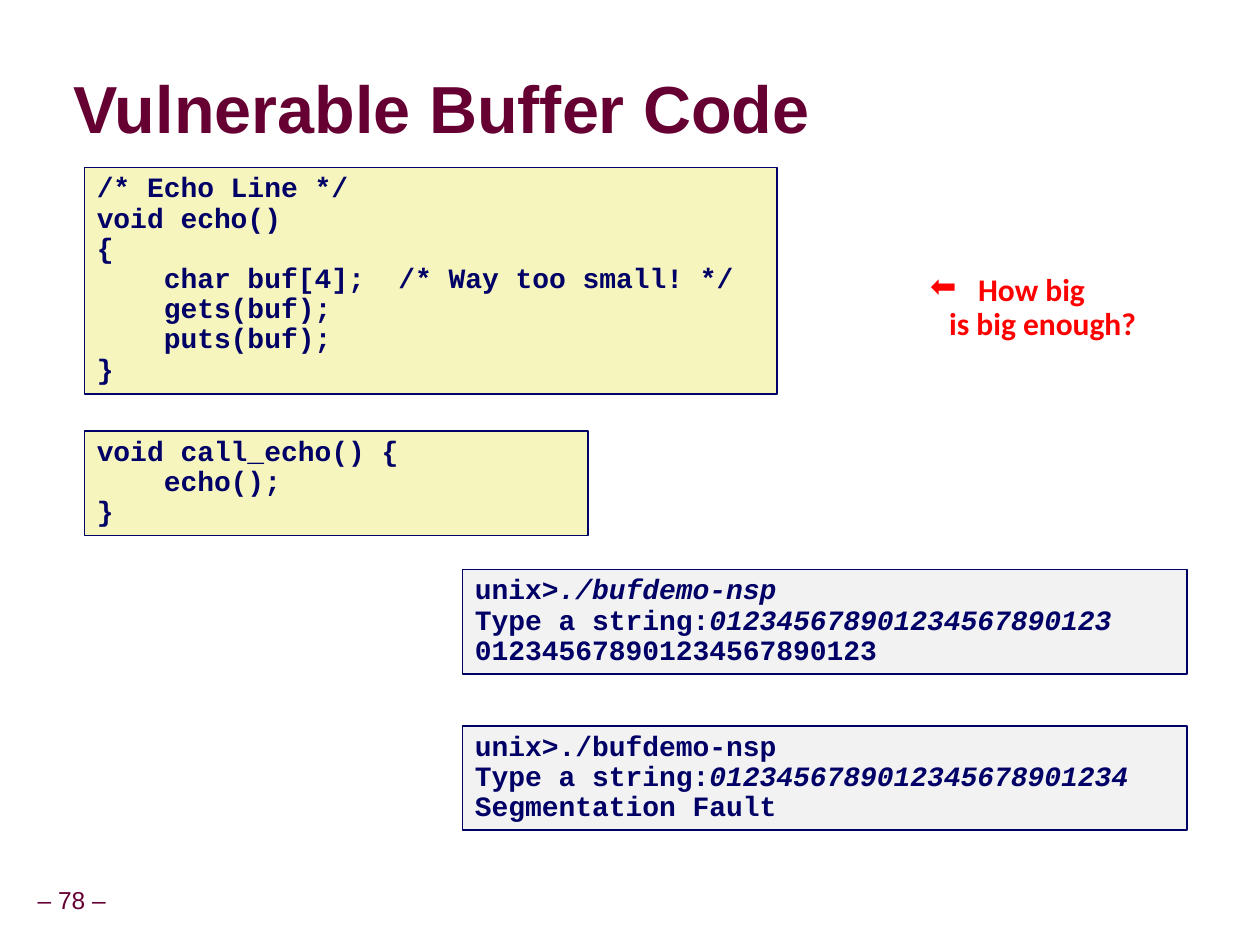
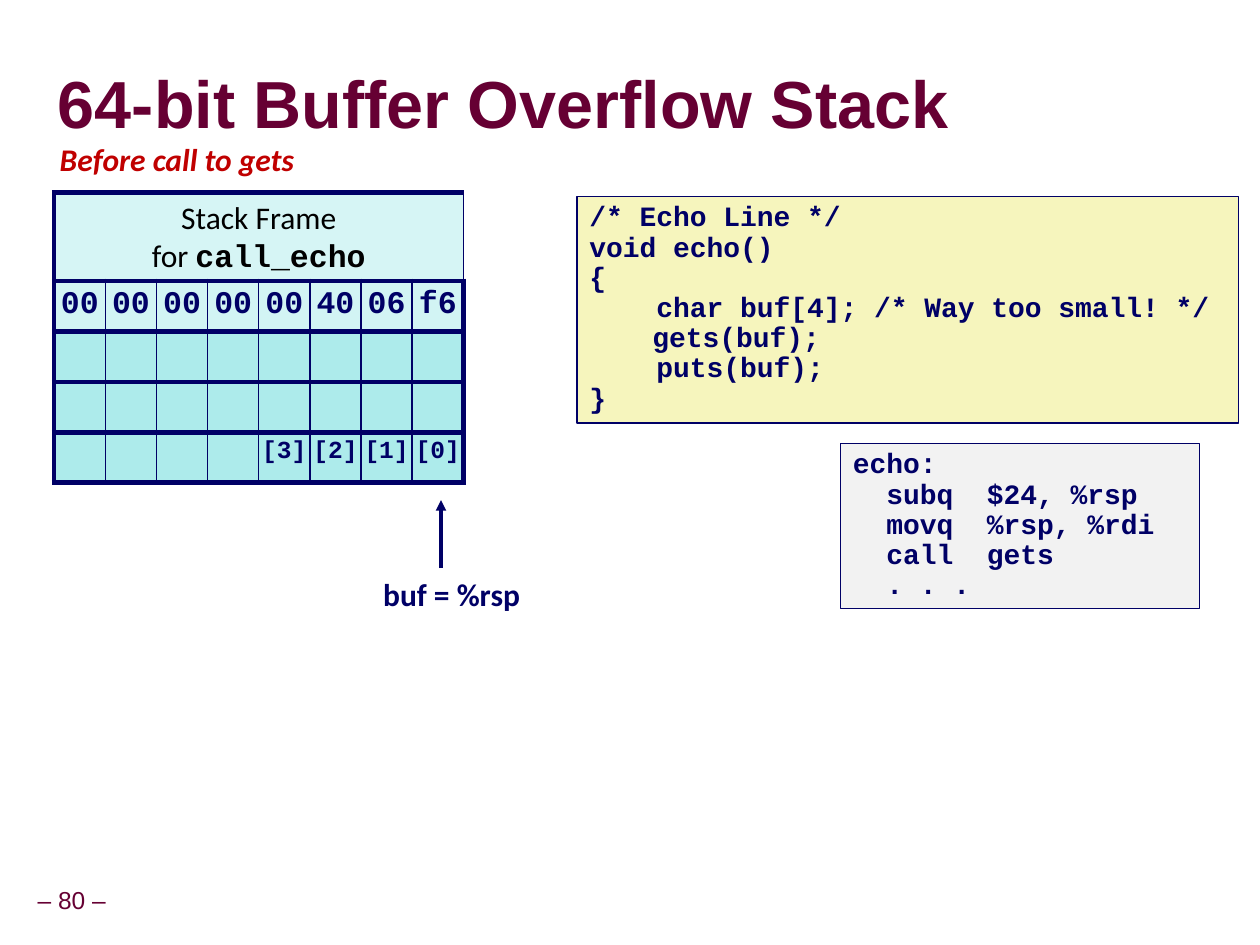
"""Build two slides on a vulnerable buffer and its stack frame."""
from lxml import etree
from pptx import Presentation
from pptx import util as u
from pptx.dml.color import RGBColor
from pptx.enum import shapes, text
from pptx.oxml.ns import qn

NAVY, PLUM, RED, CRIMSON = "000066", "660033", "FF0000", "C00000"
CREAM, GREY = "F6F5BD", "F2F2F2"
HEADER_FILL, RETURN_FILL, FRAME_FILL = "D6F5F5", "D2F4F4", "ADEBEB"

TITLE = dict(name="Arial", size=38, bold=True, color=PLUM)
NUMBER = dict(name="Arial", size=14, color=PLUM)
CODE = dict(name="Courier New", size=16, bold=True, color=NAVY)
LABEL = dict(name="Calibri", size=18, bold=True, color=NAVY)
FRAME = dict(name="Calibri", size=18, color="000000")

ECHO_HEAD = ["/* Echo Line */", "void echo()", "{"]
ECHO_TAIL = ["    puts(buf);", "}"]
SLIDES = [
    dict(
        title="Vulnerable Buffer Code", title_at=(0.58, 0.58, 7.01, 0.63), number=78,
        code=[
            ((0.67, 3.42, 4, 0.83), CREAM, 1.62,
             ["void call_echo() {", "    echo();", "}"]),
            ((0.67, 1.33, 5.5, 1.8), CREAM, 1.62,
             ECHO_HEAD + ["    char buf[4];  /* Way too small! */", "    gets(buf);"] + ECHO_TAIL),
            ((3.67, 4.52, 5.75, 0.83), GREY, 1.62,
             ["unix>|./bufdemo-nsp", "Type a string:|012345678901234567890123",
              "012345678901234567890123"]),
            ((3.67, 5.76, 5.75, 0.83), GREY, 1.62,
             ["unix>./bufdemo-nsp", "Type a string:|0123456789012345678901234",
              "Segmentation Fault"]),
        ],
        labels=[((6.42, 2.13, 3.21, 0.91), ["How big ", "\tis big enough?"],
                 LABEL | dict(color=RED), "⬅")],
    ),
    dict(
        title="64-bit Buffer Overflow Stack", title_at=(0.46, 0.54, 7.1, 0.63), number=80,
        code=[
            ((6.67, 3.52, 2.85, 1.31), GREY, 3.44,
             ["echo:", "  subq  $24, %rsp", "  movq  %rsp, %rdi", "  call  gets", "  . . ."]),
            ((4.58, 1.56, 5.25, 1.8), CREAM, 1.62,
             ECHO_HEAD + ["    char buf[4]; /* Way too small! */", "\tgets(buf);"] + ECHO_TAIL),
        ],
        labels=[((0.36, 1.1, 2.09, 0.4), ["Before call to gets"],
                 LABEL | dict(color=CRIMSON, italic=True), None),
                ((2.92, 4.55, 1.33, 0.4), ["buf = %rsp "], LABEL, None)],
        stack=dict(
            at=(0.43, 1.53, 3.25, 2.3), header=("Stack Frame", "for ", "call_echo"),
            rows=["00 00 00 00 00 40 06 f6".split(), [""] * 8, [""] * 8,
                  [""] * 4 + ["[3]", "[2]", "[1]", "[0]"]],
            header_height=0.7, row_height=0.4),
        pointer=(3.5, 4.51, 3.5, 3.97),
    ),
]


def rgb(value):
    return RGBColor.from_string(value)


def inches(values):
    return [u.Inches(value) for value in values]


def sub(parent, tag, **attributes):
    return etree.SubElement(parent, qn(tag), {k: str(v) for k, v in attributes.items()})


def add_run(paragraph, words, style):
    run = paragraph.add_run()
    run.text = words
    for key, value in style.items():
        if key == "color":
            run.font.color.rgb = rgb(value)
        else:
            setattr(run.font, key, u.Pt(value) if key == "size" else value)
    return run


def set_frame(frame, **values):
    for key, value in values.items():
        setattr(frame, key, value)


def margins(x, y):
    return dict(margin_left=u.Inches(x), margin_right=u.Inches(x),
                margin_top=u.Inches(y), margin_bottom=u.Inches(y))


def add_lines(frame, lines, style, align, spacing=0.9):
    for index, line in enumerate(lines):
        paragraph = frame.paragraphs[0] if index == 0 else frame.add_paragraph()
        paragraph.alignment, paragraph.line_spacing = align, spacing
        plain, _, slanted = line.partition("|")
        add_run(paragraph, plain, style)
        if slanted:
            add_run(paragraph, slanted, style | dict(italic=True))


def add_title(slide, words, at):
    title = slide.shapes.title
    title.left, title.top, title.width, title.height = inches(at)
    set_frame(title.text_frame, word_wrap=True, auto_size=text.MSO_AUTO_SIZE.NONE,
              vertical_anchor=text.MSO_ANCHOR.MIDDLE, **margins(0, 0))
    add_lines(title.text_frame, [words], TITLE, text.PP_ALIGN.LEFT, 0.87)
    properties = title.text_frame.paragraphs[0].runs[0].font._element
    effects = etree.Element(qn("a:effectLst"))
    shadow = sub(effects, "a:outerShdw", blurRad=38100, dist=38100, dir=2700000, algn="tl")
    sub(sub(shadow, "a:srgbClr", val="000000"), "a:alpha", val=43000)
    properties.find(qn("a:solidFill")).addnext(effects)


def add_label(slide, at, lines, style, bullet=None, **frame_values):
    frame = slide.shapes.add_textbox(*inches(at)).text_frame
    set_frame(frame, word_wrap=False, auto_size=text.MSO_AUTO_SIZE.SHAPE_TO_FIT_TEXT,
              **frame_values)
    add_lines(frame, lines, style, text.PP_ALIGN.CENTER)
    if bullet:
        properties = frame.paragraphs[0]._p.get_or_add_pPr()
        properties.set("marL", str(u.Inches(0.38)))
        properties.set("indent", str(-u.Inches(0.38)))
        sub(properties, "a:buChar", char=bullet)


def add_code(slide, at, fill, second_tab, lines):
    box = slide.shapes.add_shape(shapes.MSO_SHAPE.RECTANGLE, *inches(at))
    box.shadow.inherit = False
    box.fill.solid()
    box.fill.fore_color.rgb = rgb(fill)
    box.line.color.rgb, box.line.width = rgb(NAVY), u.Pt(1)
    set_frame(box.text_frame, word_wrap=True, vertical_anchor=text.MSO_ANCHOR.TOP)
    add_lines(box.text_frame, lines, CODE, text.PP_ALIGN.LEFT)
    for paragraph in box.text_frame.paragraphs:
        tabs = sub(paragraph._p.get_or_add_pPr(), "a:tabLst")
        for stop in (0.5, second_tab):
            sub(tabs, "a:tab", pos=u.Inches(stop), algn="l")


def style_cell(cell, fill, left, right):
    properties = cell._tc.get_or_add_tcPr()
    for side, width in (("L", left), ("R", right), ("T", 3), ("B", 3)):
        edge = sub(properties, f"a:ln{side}", w=u.Pt(width))
        sub(sub(edge, "a:solidFill"), "a:srgbClr", val=NAVY)
    cell.fill.solid()
    cell.fill.fore_color.rgb = rgb(fill)


def add_stack(slide, at, header, rows, header_height, row_height):
    columns = len(rows[0])
    table = slide.shapes.add_table(len(rows) + 1, columns, *inches(at)).table
    table.first_row = table.horz_banding = False
    for index, row in enumerate(table.rows):
        row.height = u.Inches(row_height if index else header_height)
    for r in range(len(rows) + 1):
        for c in range(columns):
            fill = (HEADER_FILL, RETURN_FILL)[r] if r < 2 else FRAME_FILL
            style_cell(table.cell(r, c), fill, 1 if c else 3, 3 if c == columns - 1 else 1)
    top = table.cell(0, 0)
    top.merge(table.cell(0, columns - 1))
    first, second, function = header
    add_lines(top.text_frame, [first, second], FRAME, text.PP_ALIGN.CENTER, 1.0)
    add_run(top.text_frame.paragraphs[1], function, FRAME | dict(name="Courier New", bold=True))
    for r, row in enumerate(rows, 1):
        for c, byte in enumerate(row):
            if byte:
                indexed = byte.startswith("[")
                cell = table.cell(r, c)
                set_frame(cell, **margins(0.01 if indexed else 0.05, 0.05))
                add_lines(cell.text_frame, [byte], CODE | dict(size=14 if indexed else 18),
                          text.PP_ALIGN.CENTER)


def add_pointer(slide, ends):
    arrow = slide.shapes.add_connector(shapes.MSO_CONNECTOR.STRAIGHT, *inches(ends))
    arrow.line.color.rgb, arrow.line.width = rgb(NAVY), u.Pt(2)
    sub(arrow.line._get_or_add_ln(), "a:tailEnd", type="triangle")
    sub(arrow._element.spPr, "a:effectLst")


def main():
    deck = Presentation()
    deck.slide_width, deck.slide_height = inches((10, 7.5))
    for content in SLIDES:
        slide = deck.slides.add_slide(deck.slide_layouts[5])
        add_label(slide, (0.24, 7, 0.66, 0.31), [f"– {content['number']} –"], NUMBER,
                  vertical_anchor=text.MSO_ANCHOR.MIDDLE, **margins(0.05, 0.05))
        add_title(slide, content["title"], content["title_at"])
        for block in content["code"]:
            add_code(slide, *block)
        if "stack" in content:
            add_stack(slide, **content["stack"])
        for label in content["labels"]:
            add_label(slide, *label)
        if "pointer" in content:
            add_pointer(slide, content["pointer"])
    deck.save("out.pptx")


if __name__ == "__main__":
    main()
